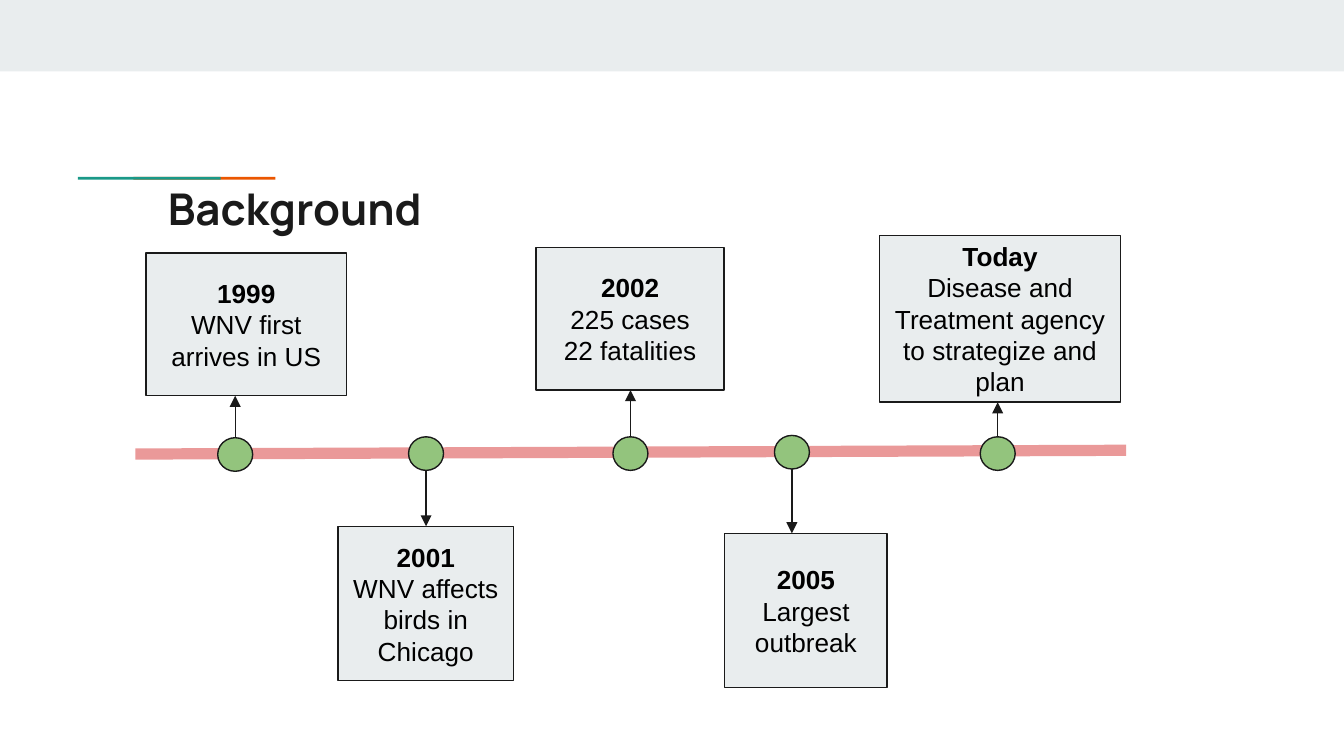
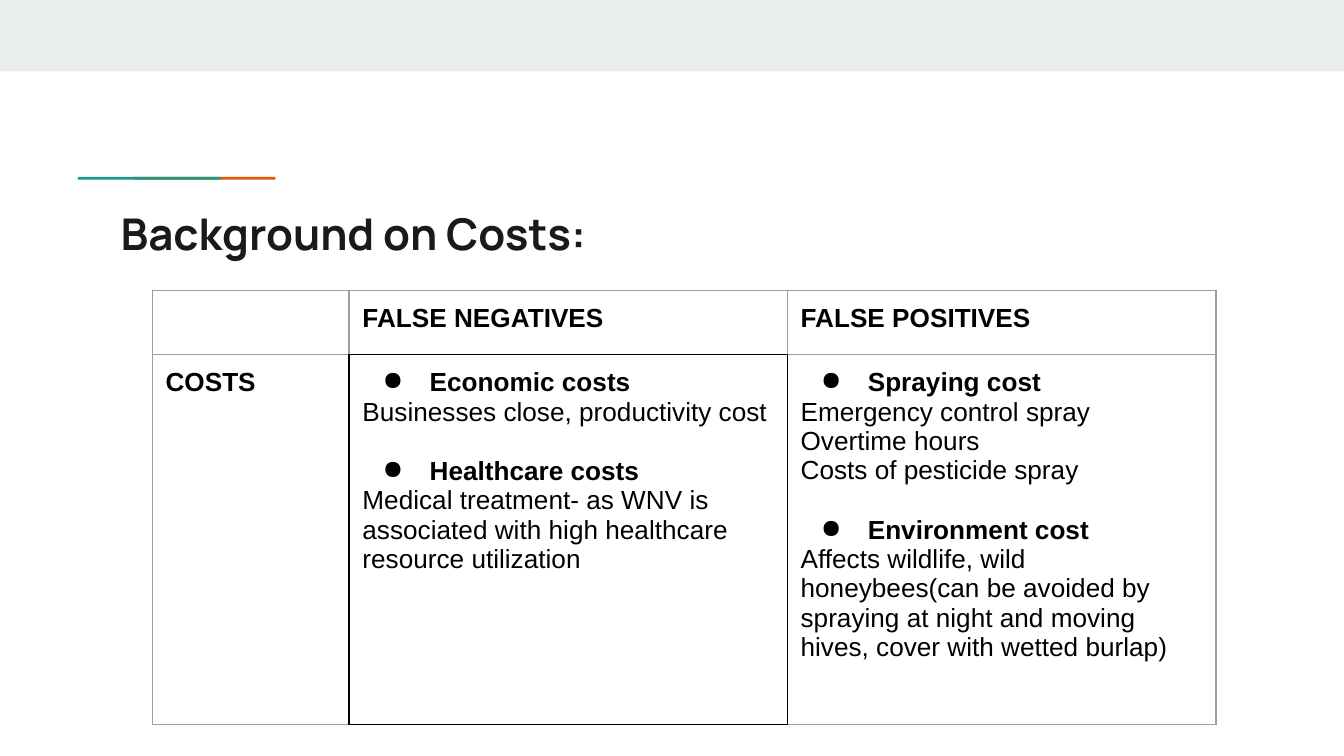
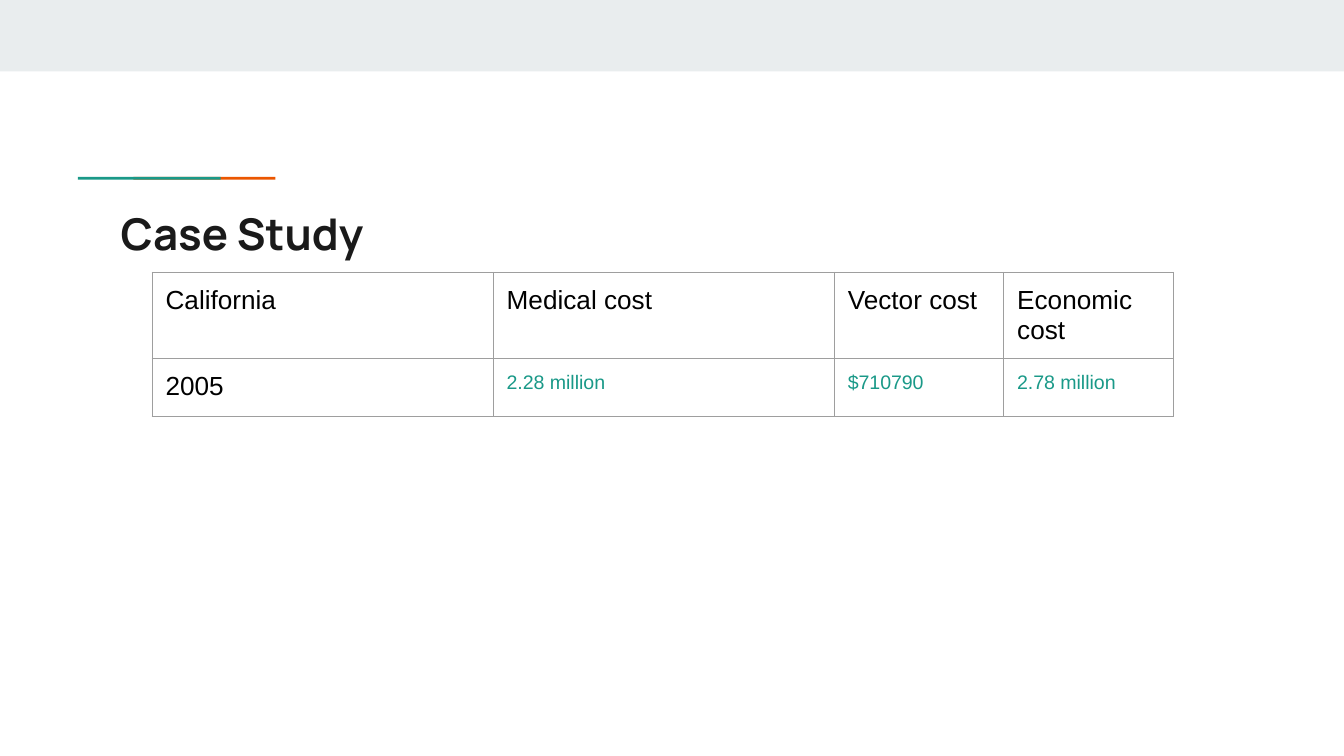
from dataclasses import dataclass
from typing import Optional

import lxml.etree
import pptx
import pptx.dml.color
import pptx.enum.shapes
import pptx.enum.text
import pptx.oxml.ns
import pptx.presentation
import pptx.shapes.base
import pptx.shapes.connector
import pptx.slide
import pptx.table
import pptx.text.text
import pptx.util

Pt = pptx.util.Pt
qn = pptx.oxml.ns.qn
SHAPE = pptx.enum.shapes.MSO_SHAPE
ANCHOR = pptx.enum.text.MSO_ANCHOR
ALIGN = pptx.enum.text.PP_ALIGN

SLIDE_W, SLIDE_H = 720, 405
INSET = 7.2
THIN = 0.75
DOT_W, DOT_H = 18.75, 18
TITLE_FONT, BODY_FONT = "Manrope", "Arial"
BODY_SIZE = 14

BLACK = "000000"
INK = "1A1A1A"
PALE = "E9EDEE"
TEAL = "1A9988"
ORANGE = "EB5600"
GREEN = "93C47D"
ROSE = "EA9999"
GREY = "9E9E9E"


@dataclass(frozen=True)
class Box:
    left: float
    top: float
    width: float
    height: float


@dataclass(frozen=True)
class Milestone:
    heading: str
    lines: tuple[str, ...]
    box: Box
    dot_x: float
    dot_y: float = 243
    run_on: bool = False


@dataclass(frozen=True)
class Para:
    text: str
    bold: bool = False
    bullet: bool = False
    space_before: float = 0
    size: float = BODY_SIZE
    color: str = BLACK


Grid = list[list[list[Para]]]

MILESTONES = [
    Milestone("1999", ("WNV first arrives in US",), Box(78.25, 135.5, 107.5, 76.5), 126, 243.5),
    Milestone("2001", ("WNV affects birds in Chicago",), Box(181, 282, 94.25, 82.75), 228.25),
    Milestone("2002", ("225 cases", "22 fatalities"), Box(287.25, 132.5, 100.75, 76.5), 337.75),
    Milestone("2005 ", ("Largest outbreak",), Box(388.25, 285.75, 87, 82.75), 424.25, 242.25, True),
    Milestone("Today", ("Disease and Treatment agency to strategize and plan",),
              Box(471.25, 126, 129, 89.5), 534.5),
]

COSTS: Grid = [
    [[], [Para("FALSE NEGATIVES", bold=True)], [Para("FALSE POSITIVES", bold=True)]],
    [
        [Para("COSTS", bold=True)],
        [
            Para("Economic costs", bold=True, bullet=True),
            Para("Businesses close, productivity cost"),
            Para("Healthcare costs", bold=True, bullet=True, space_before=16),
            Para("Medical treatment- as WNV is associated with high healthcare resource utilization"),
        ],
        [
            Para("Spraying cost", bold=True, bullet=True),
            Para("Emergency control spray"),
            Para("Overtime hours"),
            Para("Costs of pesticide spray"),
            Para("Environment cost", bold=True, bullet=True, space_before=16),
            Para("Affects wildlife, wild honeybees(can be avoided by spraying at night "
                 "and moving hives, cover with wetted burlap)"),
        ],
    ],
]

CASE_HEADINGS = ["California", "Medical cost", "Vector cost", "Economic cost"]
CASE_VALUES = ["2.28 million", "$710790", "2.78 million"]
CASE: Grid = [
    [[Para(h)] for h in CASE_HEADINGS],
    [[Para("2005")]] + [[Para(v, size=10.5, color=TEAL)] for v in CASE_VALUES],
]


def rgb(value: str) -> pptx.dml.color.RGBColor:
    return pptx.dml.color.RGBColor.from_string(value)


def add_bullet(p: pptx.text.text._Paragraph) -> None:
    pPr = p._p.get_or_add_pPr()
    pPr.set("marL", str(Pt(36)))
    pPr.set("indent", str(-Pt(25.2)))
    color = lxml.etree.SubElement(pPr, qn("a:buClr"))
    lxml.etree.SubElement(color, qn("a:srgbClr"), val=BLACK)
    lxml.etree.SubElement(pPr, qn("a:buChar"), char="●")


def add_text(tf: pptx.text.text.TextFrame, text: str, *, size: float = BODY_SIZE,
             font: str = BODY_FONT, color: str = BLACK, bold: bool = False,
             align: ALIGN = ALIGN.LEFT, bullet: bool = False,
             space_before: float = 0, run_on: bool = False) -> None:
    """Add a paragraph, or with run_on continue the last one."""
    p = tf.paragraphs[-1]
    if p.runs and not run_on:
        p = tf.add_paragraph()
    p.alignment = align
    if bullet:
        add_bullet(p)
    if space_before:
        p.space_before = Pt(space_before)
    r = p.add_run()
    r.text = text
    r.font.size = Pt(size)
    r.font.name = font
    r.font.bold = bold
    r.font.color.rgb = rgb(color)


def set_frame(tf: pptx.text.text.TextFrame, anchor: ANCHOR) -> None:
    tf.word_wrap = True
    tf.auto_size = pptx.enum.text.MSO_AUTO_SIZE.NONE
    tf.vertical_anchor = anchor
    tf.margin_left = tf.margin_right = tf.margin_top = tf.margin_bottom = Pt(INSET)


def add_shape(s: pptx.slide.Slide, kind: SHAPE, box: Box, fill: str,
              line: Optional[str] = None) -> pptx.shapes.base.BaseShape:
    sp = s.shapes.add_shape(kind, Pt(box.left), Pt(box.top), Pt(box.width), Pt(box.height))
    sp.shadow.inherit = False
    sp.fill.solid()
    sp.fill.fore_color.rgb = rgb(fill)
    if line:
        sp.line.color.rgb = rgb(line)
        sp.line.width = Pt(THIN)
    else:
        sp.line.fill.background()
    return sp


def add_line(s: pptx.slide.Slide, x1: float, y1: float, x2: float, y2: float, color: str,
             width: float = THIN, arrow: bool = False) -> None:
    line = s.shapes.add_connector(pptx.enum.shapes.MSO_CONNECTOR.STRAIGHT,
                                  Pt(x1), Pt(y1), Pt(x2), Pt(y2))
    line.line.color.rgb = rgb(color)
    line.line.width = Pt(width)
    if arrow:
        lxml.etree.SubElement(line.line._get_or_add_ln(), qn("a:tailEnd"), type="triangle")
    lxml.etree.SubElement(line._element.spPr, qn("a:effectLst"))


def add_slide(prs: pptx.presentation.Presentation, title: str,
              left: float = 57.5, top: float = 103.5) -> pptx.slide.Slide:
    """Add a slide with the top band, the accent rule and a title."""
    s = prs.slides.add_slide(prs.slide_layouts[5])
    add_shape(s, SHAPE.RECTANGLE, Box(0, 0, SLIDE_W, 38.25), PALE)
    add_shape(s, SHAPE.RECTANGLE, Box(71.5, 94.75, 76, 1.5), ORANGE)
    add_shape(s, SHAPE.RECTANGLE, Box(41.75, 94.75, 76.5, 1.5), TEAL)
    sp = s.shapes.title
    sp.left, sp.top, sp.width, sp.height = Pt(left), Pt(top), Pt(605.5), Pt(42.5)
    set_frame(sp.text_frame, ANCHOR.TOP)
    add_text(sp.text_frame, title, size=23.4, font=TITLE_FONT, color=INK, bold=True)
    return s


def add_milestone(s: pptx.slide.Slide, m: Milestone) -> None:
    """Draw a dot on the time line, its text box and the arrow between them."""
    dot = Box(m.dot_x - DOT_W / 2, m.dot_y - DOT_H / 2, DOT_W, DOT_H)
    add_shape(s, SHAPE.OVAL, dot, GREEN, INK)
    sp = add_shape(s, SHAPE.RECTANGLE, m.box, PALE, INK)
    tf = sp.text_frame
    set_frame(tf, ANCHOR.MIDDLE)
    add_text(tf, m.heading, bold=True, align=ALIGN.CENTER)
    for text in m.lines:
        add_text(tf, text, align=ALIGN.CENTER, run_on=m.run_on)
    if m.box.top < m.dot_y:
        start, end = dot.top, m.box.top + m.box.height
    else:
        start, end = dot.top + DOT_H, m.box.top
    add_line(s, m.dot_x, start, m.dot_x, end, INK, arrow=True)


def set_borders(cell: pptx.table._Cell, colors: dict[str, str]) -> None:
    tcPr = cell._tc.get_or_add_tcPr()
    for i, (side, color) in enumerate(colors.items()):
        ln = lxml.etree.Element(qn(f"a:ln{side}"), w=str(Pt(THIN)))
        fill = lxml.etree.SubElement(ln, qn("a:solidFill"))
        lxml.etree.SubElement(fill, qn("a:srgbClr"), val=color)
        tcPr.insert(i, ln)


def add_table(s: pptx.slide.Slide, grid: Grid, left: float, top: float, widths: list[float],
              heights: list[float], framed: Optional[tuple[int, int]] = None) -> None:
    """Add a grey-ruled table; the framed (row, column) cell has black edges."""
    table = s.shapes.add_table(len(heights), len(widths), Pt(left), Pt(top),
                               Pt(sum(widths)), Pt(sum(heights))).table
    table.first_row = table.horz_banding = False
    for column, width in zip(table.columns, widths):
        column.width = Pt(width)
    for row, height in zip(table.rows, heights):
        row.height = Pt(height)
    for i, row in enumerate(grid):
        for j, paras in enumerate(row):
            cell = table.cell(i, j)
            cell.fill.background()
            cell.margin_left = cell.margin_right = Pt(INSET)
            cell.margin_top = cell.margin_bottom = Pt(INSET)
            neighbours = {"L": (i, j - 1), "R": (i, j + 1), "T": (i - 1, j), "B": (i + 1, j)}
            set_borders(cell, {side: BLACK if framed in ((i, j), near) else GREY
                               for side, near in neighbours.items()})
            tf = cell.text_frame
            for para in paras:
                add_text(tf, para.text, size=para.size, color=para.color, bold=para.bold,
                         bullet=para.bullet, space_before=para.space_before)
            if not paras:
                lxml.etree.SubElement(tf.paragraphs[0]._p, qn("a:endParaRPr"),
                                      sz=str(BODY_SIZE * 100))


def main() -> None:
    prs = pptx.Presentation()
    prs.slide_width, prs.slide_height = Pt(SLIDE_W), Pt(SLIDE_H)

    s = add_slide(prs, "Background", left=82.75, top=90)
    add_line(s, 72.5, 243.25, 603.25, 241.25, ROSE, width=6)
    for m in MILESTONES:
        add_milestone(s, m)

    s = add_slide(prs, "Background on Costs:")
    add_table(s, COSTS, 81.5, 155.5, [105.5, 234.75, 229.75], [34.5, 198], framed=(1, 1))

    s = add_slide(prs, "Case Study")
    add_table(s, CASE, 81.5, 146, [182.75, 182.75, 90.75, 90.75], [46, 31])

    prs.save("out.pptx")


if __name__ == "__main__":
    main()
